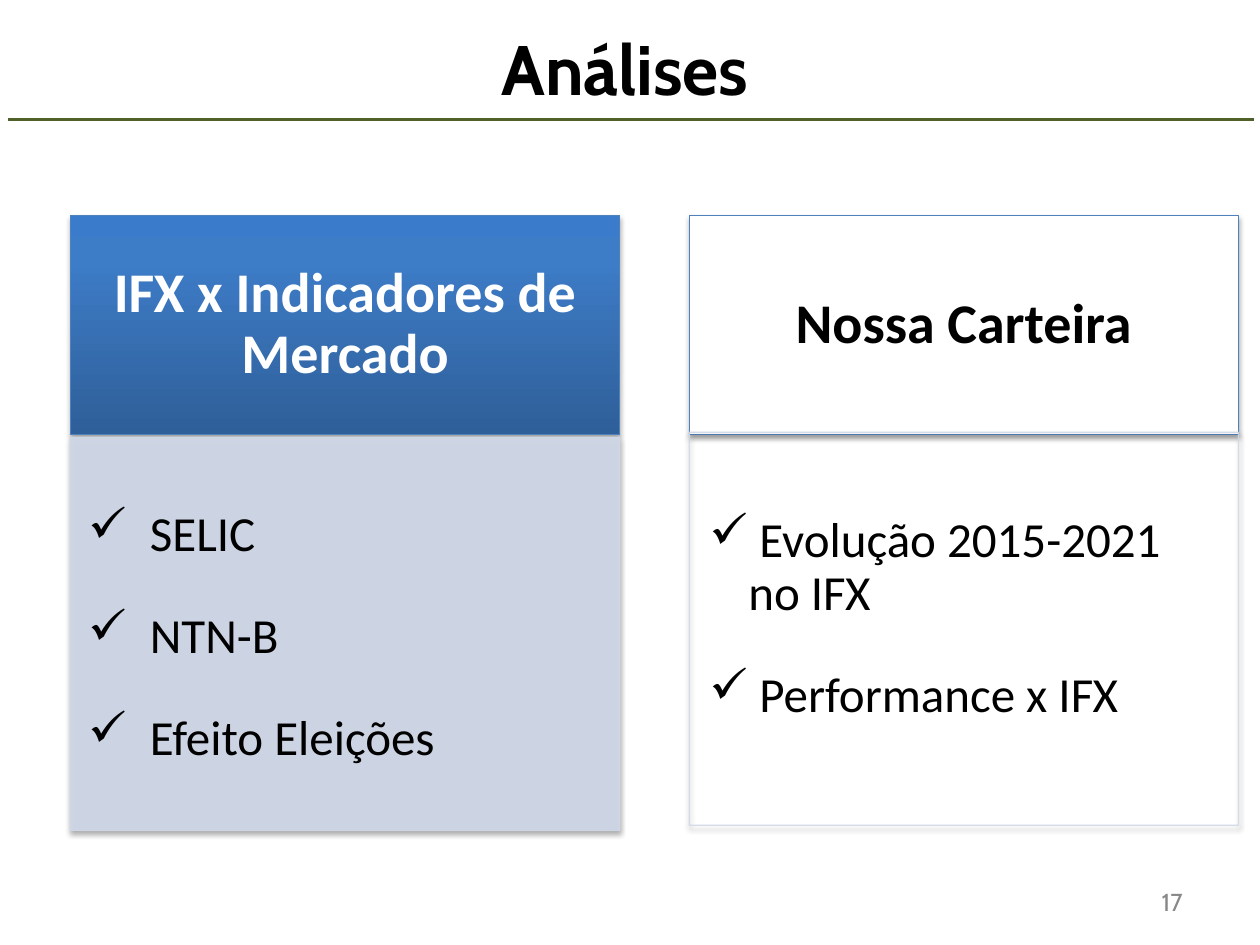
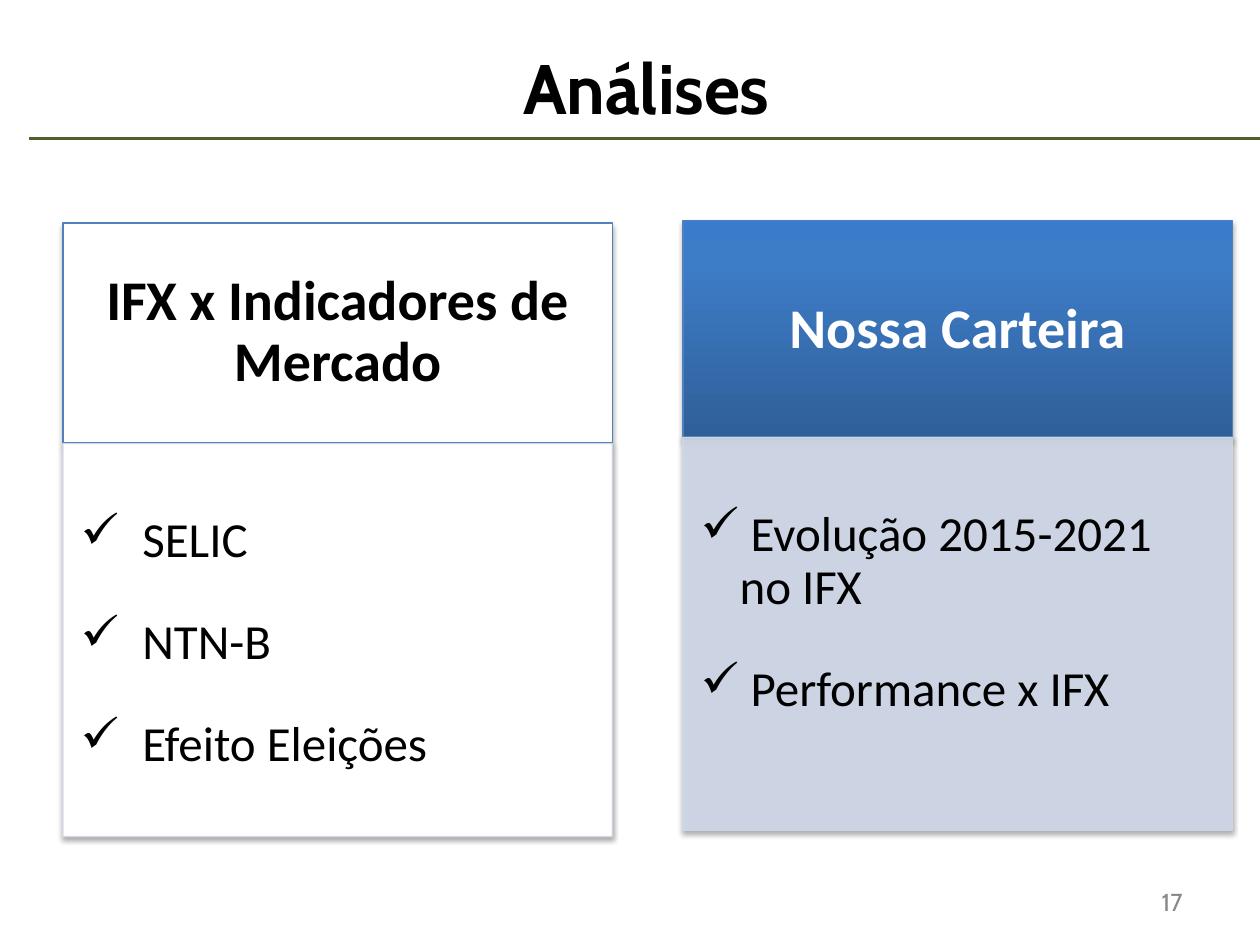
from copy import deepcopy

from lxml.etree import SubElement as Sub
from pptx import Presentation
from pptx.dml.color import RGBColor
from pptx.enum.shapes import MSO_CONNECTOR as Link, MSO_SHAPE as Form
from pptx.enum.text import MSO_ANCHOR as Anchor, PP_ALIGN as Align
from pptx.oxml.ns import qn
from pptx.util import Inches, Pt

# Grid: 100 columns by 75 rows
WIDE, HIGH = 10, 7.5
COLS, ROWS = 100, 75

# Shared colours and fonts
INK, WHITE, GREY = "000000", "FFFFFF", "888888"
GREEN, BLUE, PALE = "4F6128", "4F81BD", "D0D8E8"
BLEND = [(0, "2F5F99"), (0.8, "3D7CC7"), (1, "3A7CCB")]
HEAD, BODY = "Cabin", "Calibri"

# Card sizes in grid units
CARD_W, TOP_H, LIST_H = 43.6, 17.4, 31.2


def tint(code):
    return RGBColor.from_string(code)


def fade(node, share):
    """Set the opacity, in percent, of the colour inside a fill or line."""
    color = next(node.iter(qn("a:srgbClr")))
    Sub(color, qn("a:alpha"), val=str(share * 1000))


class Deck:
    def __init__(self):
        self.show = Presentation()
        self.show.slide_width = Inches(WIDE)
        self.show.slide_height = Inches(HIGH)
        self.page = None

    def place(self, x, y, w, h):
        col, row = WIDE / COLS, HIGH / ROWS
        return Inches(x * col), Inches(y * row), Inches(w * col), Inches(h * row)

    def start(self, title, number, dx=0, dy=0):
        """Add a slide with its number, rule and title, moved by dx and dy."""
        self.page = self.show.slides.add_slide(self.show.slide_layouts[6])
        num = self.text(92.2, 70.3, 2, 4.9, wrap=False)
        self.run(num.paragraphs[0], number, HEAD, 14, GREY)
        self.rule(0.6 + dx, 9.5 + dy, 98.9)
        frame = self.text(2.5 + dx, 1.9 + dy, 94.2, 6.9)
        par = frame.paragraphs[0]
        par.alignment = Align.CENTER
        run = self.run(par, title, HEAD, 40, INK, bold=True)
        run.font._element.set("spc", "-10")

    def rule(self, x, y, w):
        x, y, w, _ = self.place(x, y, w, 0)
        line = self.page.shapes.add_connector(Link.STRAIGHT, x, y, x + w, y)
        line.line.color.rgb = tint(GREEN)
        line.line.width = Pt(2)
        Sub(line._element.spPr, qn("a:effectLst"))

    def box(self, x, y, w, h, fill, edge):
        """Draw a shadowed box; fill is a colour, a list of stops or None."""
        box = self.page.shapes.add_shape(Form.RECTANGLE, *self.place(x, y, w, h))
        props = box._element.spPr
        if fill is None:
            box.fill.background()
        elif isinstance(fill, str):
            box.fill.solid()
            box.fill.fore_color.rgb = tint(fill)
        else:
            box.fill.gradient()
            box.fill.gradient_angle = 90
            stops = next(props.iter(qn("a:gsLst")))
            stops.append(deepcopy(stops[-1]))
            for stop, (spot, code) in zip(box.fill.gradient_stops, fill):
                stop.position = spot
                stop.color.rgb = tint(code)
        if fill == PALE:
            fade(props, 90)
        box.line.color.rgb = tint(edge)
        box.line.width = Pt(0.75)
        if edge == PALE:
            fade(props.find(qn("a:ln")), 90)
        # Soft shadow straight below
        box.shadow.inherit = False
        cast = Sub(props.find(qn("a:effectLst")), qn("a:outerShdw"),
                   blurRad=str(Pt(3.1)), dist=str(Pt(1.8)),
                   dir="5400000", rotWithShape="0")
        Sub(cast, qn("a:srgbClr"), val=INK)
        fade(cast, 35)

    def text(self, x, y, w, h, pad=(0, 0.01, 0, 0), wrap=True):
        frame = self.page.shapes.add_textbox(*self.place(x, y, w, h)).text_frame
        frame.word_wrap = wrap
        (frame.margin_left, frame.margin_top,
         frame.margin_right, frame.margin_bottom) = map(Inches, pad)
        return frame

    def run(self, par, words, font, size, color, bold=False):
        run = par.add_run()
        run.text = words
        run.font.name = font
        run.font.size = Pt(size)
        run.font.bold = bold
        run.font.color.rgb = tint(color)
        return run

    def ticks(self, frame, items, hang):
        """Write a list with check marks and a hanging indent in inches."""
        for i, item in enumerate(items):
            par = frame.add_paragraph() if i else frame.paragraphs[0]
            par.line_spacing = 0.9
            par.space_before = Pt(28 if i else 0)
            props = par._p.get_or_add_pPr()
            props.set("marL", str(Inches(hang)))
            props.set("indent", str(-Inches(hang)))
            Sub(props, qn("a:buChar"), char="✓")
            self.run(par, item, BODY, 28, INK)

    def card(self, x, top, low, topic, lit, back, pad):
        """Draw a heading box over a list box; a lit card is coloured."""
        name, items, hang = topic
        spot = (x, top, CARD_W, TOP_H)
        self.box(*spot, BLEND if lit else WHITE, BLUE)
        frame = self.text(*spot, pad=(0.25, 0.14, 0.25, 0.14))
        frame.vertical_anchor = Anchor.MIDDLE
        par = frame.paragraphs[0]
        par.alignment = Align.CENTER
        par.line_spacing = 0.9
        self.run(par, name, BODY, 32, WHITE if lit else INK, bold=True)
        spot = (x, low, CARD_W, LIST_H)
        self.box(*spot, back, PALE)
        self.ticks(self.text(*spot, pad=pad), items, hang)


# Topics: heading, list items, hanging indent
MARKET = ("IFX x Indicadores de Mercado",
          ["SELIC", "NTN-B", "Efeito Eleições"], 0.49)
FUNDS = ("Nossa Carteira",
         [" Evolução 2015-2021 no IFX", " Performance x IFX"], 0.31)
SLIM = (0.14, 0.57, 0.19, 0.21)
ROOMY = (0.16, 0.66, 0.22, 0.24)


def main():
    deck = Deck()

    # Market topic in focus
    deck.start("Análises", "17")
    deck.card(5.6, 17.1, 34.7, MARKET, True, PALE, SLIM)
    deck.card(54.7, 17.1, 34.3, FUNDS, False, None, ROOMY)

    # Portfolio topic in focus
    deck.start("Análises", "17", dx=1.7, dy=1.5)
    deck.card(5, 17.7, 35.2, MARKET, False, WHITE, SLIM)
    deck.card(54.2, 17.5, 34.7, FUNDS, True, PALE, SLIM)

    deck.show.save("out.pptx")


if __name__ == "__main__":
    main()
